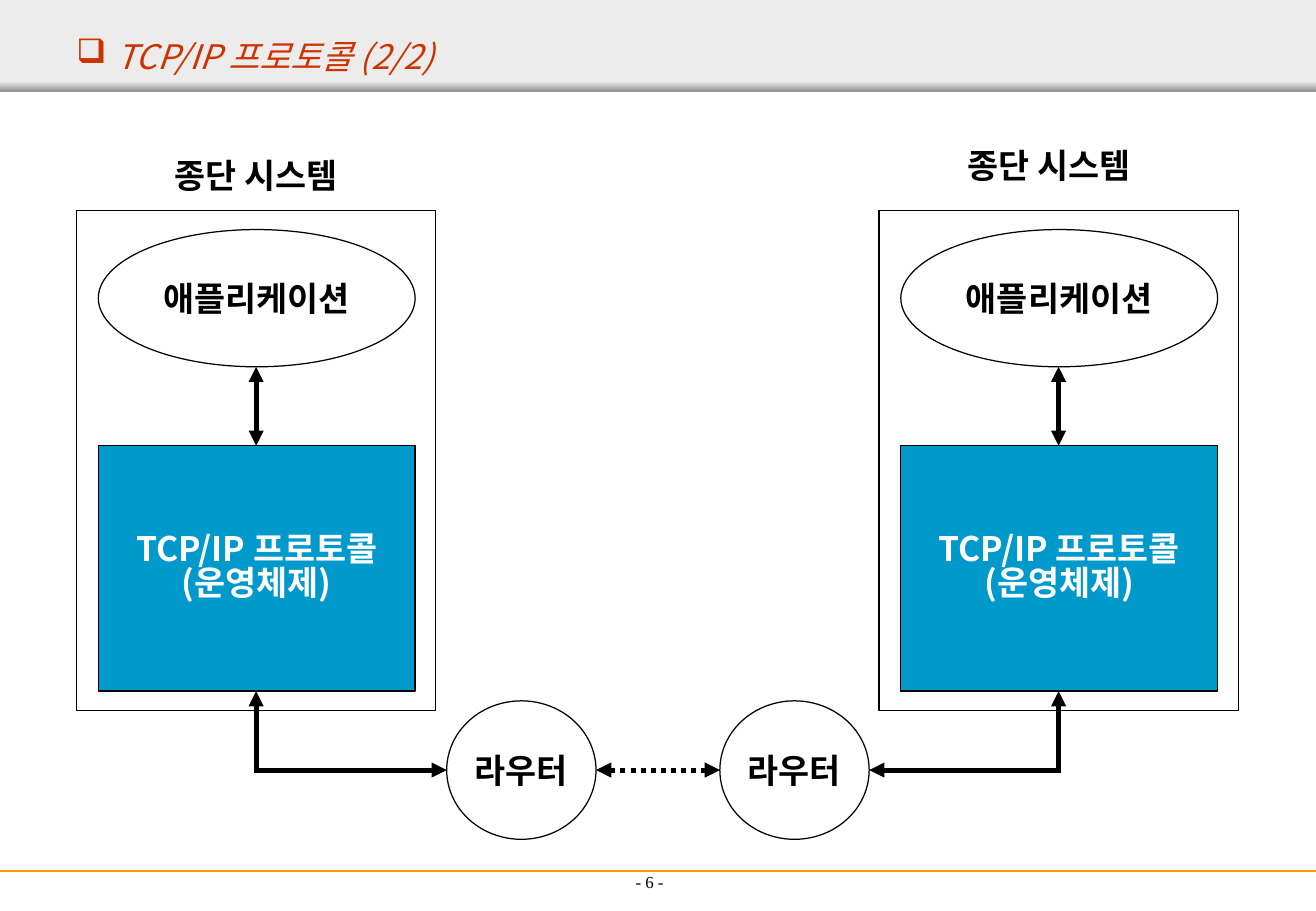
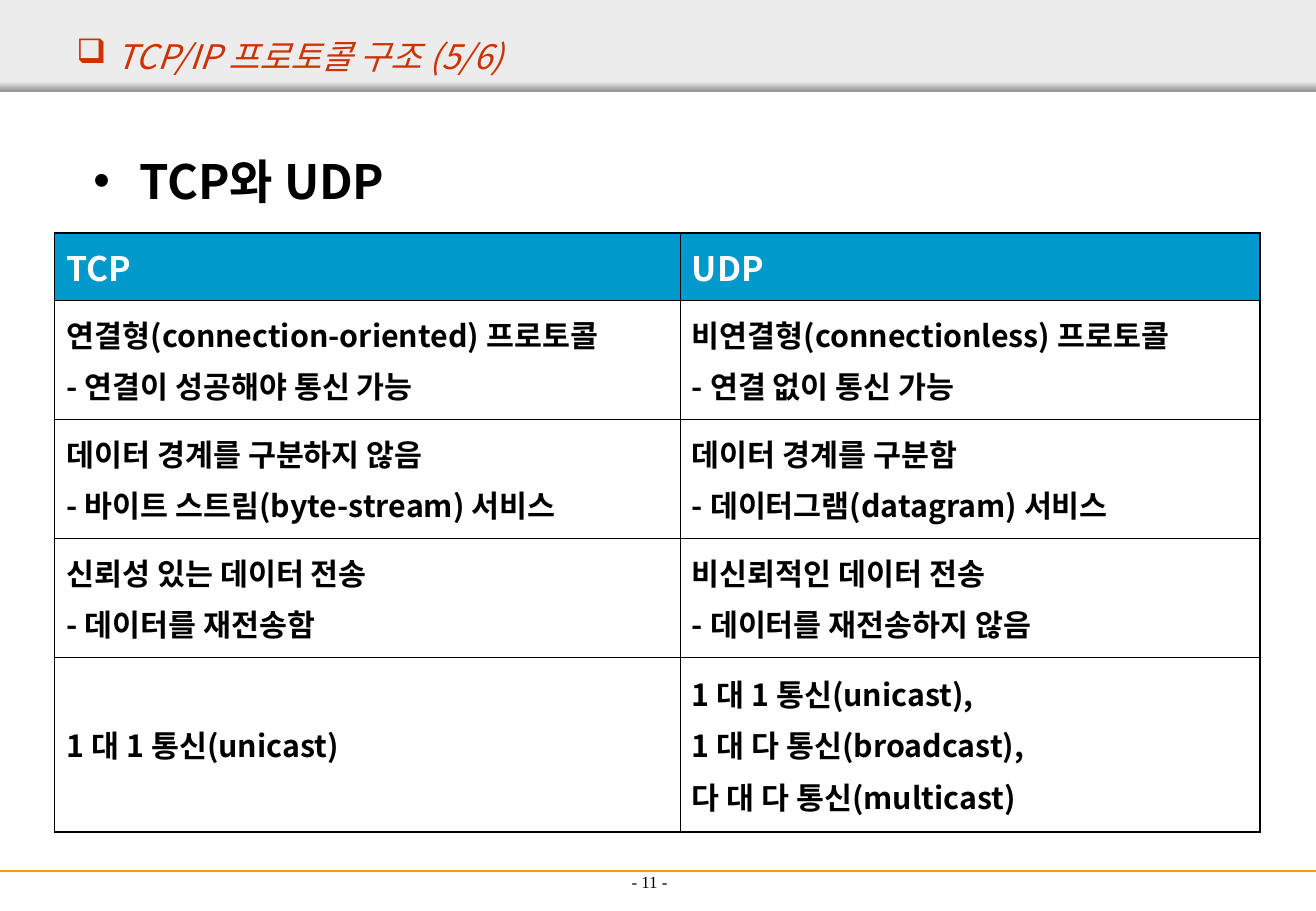
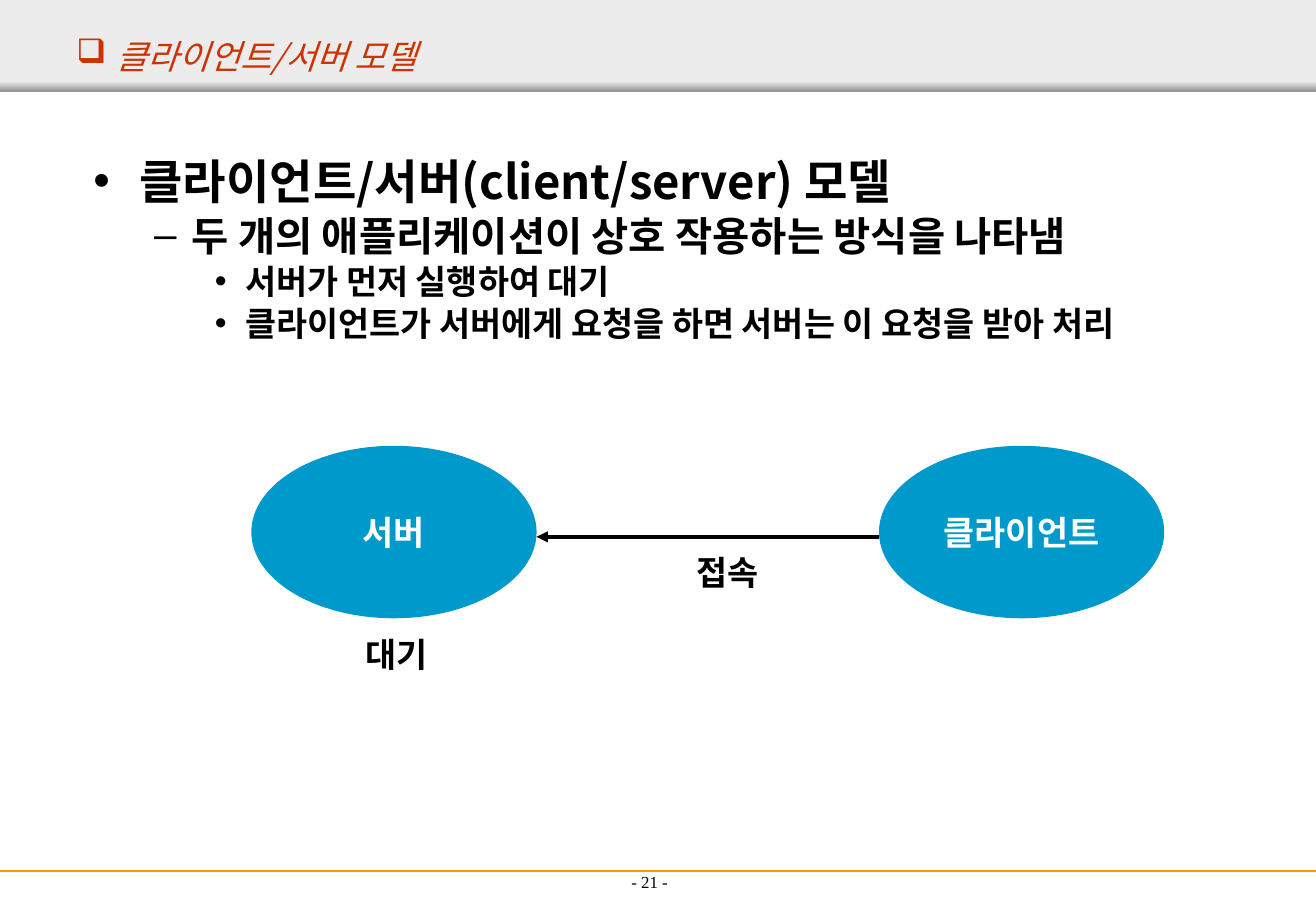
from lxml import etree
from pptx import Presentation
from pptx.dml.color import RGBColor
from pptx.enum.dml import MSO_LINE
from pptx.enum.shapes import MSO_CONNECTOR, MSO_SHAPE
from pptx.enum.text import MSO_ANCHOR, MSO_AUTO_SIZE, PP_ALIGN
from pptx.oxml.ns import qn
from pptx.util import Inches, Pt

RECT, OVAL = MSO_SHAPE.RECTANGLE, MSO_SHAPE.OVAL
LINE, DOTS = MSO_CONNECTOR.STRAIGHT, MSO_LINE.ROUND_DOT
LEFT, MID = PP_ALIGN.LEFT, PP_ALIGN.CENTER
CENTER, BOTTOM, TOP = MSO_ANCHOR.MIDDLE, MSO_ANCHOR.BOTTOM, MSO_ANCHOR.TOP
FIXED = MSO_AUTO_SIZE.NONE

# Look shared by all slides
WIDTH, HEIGHT = 10.84, 7.5
BLACK, WHITE = RGBColor(0, 0, 0), RGBColor(255, 255, 255)
BLUE, RED = RGBColor(0x00, 0x99, 0xCC), RGBColor(0xCC, 0x33, 0x00)
ORANGE = RGBColor(0xFF, 0x99, 0x00)
PALE, GRAY = RGBColor(0xEC, 0xEC, 0xEC), RGBColor(0x97, 0x97, 0x97)
SANS, SERIF = "Noto Sans CJK KR", "Times New Roman"

LABEL = {"size": Pt(20), "bold": True, "italic": False, "name": SANS}
HEAD = {**LABEL, "bold": False, "italic": True}
CELL = {**LABEL, "size": Pt(18)}
FOOT = {"size": Pt(10), "name": SERIF}
TIGHT = 0.83

# Outline levels: size, space before, left margin, hanging indent, bullet
LEVELS = [
    (28, 7, 0.38, 0.38, "•"),
    (24, 6, 0.81, 0.31, "–"),
    (20, 5, 1.25, 0.25, "•"),
]

# Content
PAGES = [
    ("TCP/IP 프로토콜 (2/2)", 6, []),
    ("TCP/IP 프로토콜 구조 (5/6)", 11, [(0, "TCP와 UDP")]),
    ("클라이언트/서버 모델", 21, [
        (0, "클라이언트/서버(client/server) 모델"),
        (1, "두 개의 애플리케이션이 상호 작용하는 방식을 나타냄"),
        (2, "서버가 먼저 실행하여 대기"),
        (2, "클라이언트가 서버에게 요청을 하면 서버는 이 요청을 받아 처리"),
    ]),
]

# Each end system: frame left, caption left and top, link x, router left
HOSTS = [(0.63, 0.63, 1.16, 2.11, 3.68), (7.24, 7.16, 1.08, 8.72, 5.93)]
STACK = ["TCP/IP 프로토콜", "(운영체제)"]

COLS = [5.15, 4.78]
ROWS = [
    (0.55, ["TCP"], ["UDP"]),
    (0.98, ["연결형(connection-oriented) 프로토콜", "- 연결이 성공해야 통신 가능"],
     ["비연결형(connectionless) 프로토콜", "- 연결 없이 통신 가능"]),
    (0.98, ["데이터 경계를 구분하지 않음", "- 바이트 스트림(byte-stream) 서비스"],
     ["데이터 경계를 구분함", "- 데이터그램(datagram) 서비스"]),
    (0.98, ["신뢰성 있는 데이터 전송", "- 데이터를 재전송함"],
     ["비신뢰적인 데이터 전송", "- 데이터를 재전송하지 않음"]),
    (1.44, ["1 대 1 통신(unicast)"],
     ["1 대 1 통신(unicast),", "1 대 다 통신(broadcast),", "다 대 다 통신(multicast)"]),
]
THIN, THICK = 0.45, 1.08

PEERS = [("서버", 2.07), ("클라이언트", 7.24)]
NOTES = [("대기", 2.7, 5.17), ("접속", 5.43, 4.5)]


def inches(*nums):
    return [Inches(n) for n in nums]


def sub(parent, tag, **attrs):
    node = etree.SubElement(parent, qn(tag))
    for key, val in attrs.items():
        node.set(key, str(val))
    return node


def write(par, text, form, color, align=LEFT):
    """Put one run with the given format into a paragraph."""
    par.alignment = align
    run = par.add_run()
    run.text = text
    run.font.color.rgb = color
    for key, val in form.items():
        setattr(run.font, key, val)
    sub(run.font._element, "a:ea", typeface=form["name"])


def fill_text(frame, lines, form, color, align=MID, anchor=CENTER, wrap=False,
              gap=0, pitch=None):
    frame.word_wrap = wrap
    frame.vertical_anchor = anchor
    for i, text in enumerate(lines):
        par = frame.add_paragraph() if i else frame.paragraphs[0]
        if i and gap:
            par.space_before = Pt(gap)
        if pitch:
            par.line_spacing = pitch
        write(par, text, form, color, align)


def bullet(par, char, color, left, hang):
    props = par._p.get_or_add_pPr()
    props.set("marL", str(Inches(left)))
    props.set("indent", str(-Inches(hang)))
    sub(sub(props, "a:buClr"), "a:srgbClr", val=color)
    sub(props, "a:buChar", char=char)


def add_box(slide, kind, at, fill=None, edge=None):
    box = slide.shapes.add_shape(kind, *inches(*at))
    box.shadow.inherit = False
    if fill is None:
        box.fill.background()
    else:
        box.fill.solid()
        box.fill.fore_color.rgb = fill
    if edge is None:
        box.line.fill.background()
    else:
        box.line.color.rgb = edge
        box.line.width = Pt(0.75)
    return box


def add_line(slide, start, end, width, color=BLACK, heads=(), dash=None):
    """Draw a line; heads names the arrow ends, headEnd first."""
    line = slide.shapes.add_connector(LINE, *inches(*start, *end))
    line.line.color.rgb = color
    line.line.width = Pt(width)
    if dash:
        line.line.dash_style = dash
    for name in heads:
        sub(line.line._ln, "a:" + name, type="triangle")
    sub(line._element.spPr, "a:effectLst")
    return line


def add_note(slide, text, at):
    box = slide.shapes.add_textbox(*inches(*at))
    fill_text(box.text_frame, [text], LABEL, BLACK)


def add_master(deck, slide):
    """Build the band, its shade and the foot rule, then move them to the master."""
    band = add_box(slide, RECT, (0, 0, WIDTH, 0.75), PALE)
    shade = add_box(slide, RECT, (0, 0.67, WIDTH, 0.08))
    shade.fill.gradient()
    shade.fill.gradient_angle = 270
    for stop, color, pos in zip(shade.fill.gradient_stops, (PALE, GRAY), (0, 1)):
        stop.color.rgb = color
        stop.position = pos
    rule = add_line(slide, (0, 7.17), (WIDTH, 7.17), 1.5, ORANGE)
    tree = deck.slide_master.shapes._spTree
    for i, part in enumerate((band, shade, rule)):
        part._element.xpath(".//p:cNvPr")[0].set("id", str(20 + i))
        tree.insert(2 + i, part._element)


def place(shape, at):
    shape.left, shape.top, shape.width, shape.height = inches(*at)


def add_page(deck, title, number, points):
    slide = deck.slides.add_slide(deck.slide_layouts[1 if points else 5])
    # Title
    head = slide.shapes.title
    place(head, (0.53, 0.25, 10.31, 0.42))
    head.text_frame.auto_size = FIXED
    bullet(head.text_frame.paragraphs[0], "❑", RED, 0.33, 0.33)
    fill_text(head.text_frame, [title], HEAD, RED, LEFT, wrap=True)
    # Page number
    foot = slide.shapes.add_textbox(*inches(3.69, 6.89, 3.32, 0.5))
    fill_text(foot.text_frame, [f"- {number} -"], FOOT, BLACK, anchor=BOTTOM, wrap=True)
    # Outline
    if points:
        body = slide.placeholders[1]
        place(body, (0.67, 1.28, 9.5, 5.41))
        frame = body.text_frame
        frame.auto_size, frame.vertical_anchor = FIXED, TOP
        for i, (level, text) in enumerate(points):
            par = frame.add_paragraph() if i else frame.paragraphs[0]
            size, gap, left, hang, char = LEVELS[level]
            par.level = level
            par.line_spacing = TIGHT
            par.space_before = Pt(gap if i else 0)
            bullet(par, char, BLACK, left, hang)
            write(par, text, {**LABEL, "size": Pt(size)}, BLACK)
    return slide


def draw_hosts(slide):
    both, level = ("headEnd", "tailEnd"), 6.34
    for left, note, top, link, router in HOSTS:
        # End system
        add_box(slide, RECT, (left, 1.73, 2.96, 4.12), edge=BLACK)
        add_note(slide, "종단 시스템", (note, top, 2.96, 0.56))
        app = add_box(slide, OVAL, (left + 0.18, 1.89, 2.61, 1.13), edge=BLACK)
        fill_text(app.text_frame, ["애플리케이션"], LABEL, BLACK)
        stack = add_box(slide, RECT, (left + 0.18, 3.67, 2.61, 2.02), BLUE, BLACK)
        fill_text(stack.text_frame, STACK, LABEL, WHITE, pitch=TIGHT)
        add_line(slide, (link, 3.02), (link, 3.67), 3, heads=both)
        # Router and the path to it
        hub = add_box(slide, OVAL, (router, 5.77, 1.23, 1.14), edge=BLACK)
        fill_text(hub.text_frame, ["라우터"], LABEL, BLACK)
        add_line(slide, (link, 5.69), (link, level), 3, heads=["headEnd"])
        side, out = (router, -0.02) if link < router else (router + 1.23, 0.02)
        add_line(slide, (link + out, level), (side, level), 3, heads=["tailEnd"])
    add_line(slide, (4.91, level), (5.93, level), 3, heads=both, dash=DOTS)


def edge_cell(cell, widths):
    props = cell._tc.get_or_add_tcPr()
    for i, (side, width) in enumerate(zip("LRTB", widths)):
        line = sub(props, "a:ln" + side, w=Pt(width))
        sub(sub(line, "a:solidFill"), "a:srgbClr", val=BLACK)
        props.insert(i, line)


def draw_table(slide):
    count, span = len(ROWS), len(COLS)
    size = inches(0.45, 1.92, sum(COLS), sum(row[0] for row in ROWS))
    table = slide.shapes.add_table(count, span, *size).table
    table.first_row = table.horz_banding = False
    for col, width in zip(table.columns, COLS):
        col.width = Inches(width)
    for r, (height, *texts) in enumerate(ROWS):
        table.rows[r].height = Inches(height)
        for c, lines in enumerate(texts):
            cell = table.cell(r, c)
            form, color = (CELL, BLACK) if r else (LABEL, WHITE)
            cell.vertical_anchor = CENTER
            fill_text(cell.text_frame, lines, form, color, LEFT, wrap=True, gap=4.5)
            if r:
                cell.fill.background()
            else:
                cell.fill.solid()
                cell.fill.fore_color.rgb = BLUE
            outer = (c == 0, c == span - 1, r == 0, r == count - 1)
            edge_cell(cell, [THICK if out else THIN for out in outer])


def draw_peers(slide):
    for text, left in PEERS:
        peer = add_box(slide, OVAL, (left, 3.67, 2.35, 1.42), BLUE)
        fill_text(peer.text_frame, [text], LABEL, WHITE)
    add_line(slide, (7.24, 4.42), (4.42, 4.42), 2.25, heads=["tailEnd"])
    for text, left, top in NOTES:
        add_note(slide, text, (left, top, 1.13, 0.42))


def main():
    deck = Presentation()
    deck.slide_width, deck.slide_height = inches(WIDTH, HEIGHT)
    slides = [add_page(deck, *page) for page in PAGES]
    add_master(deck, slides[0])
    for draw, slide in zip((draw_hosts, draw_table, draw_peers), slides):
        draw(slide)
    deck.save("out.pptx")


if __name__ == "__main__":
    main()
